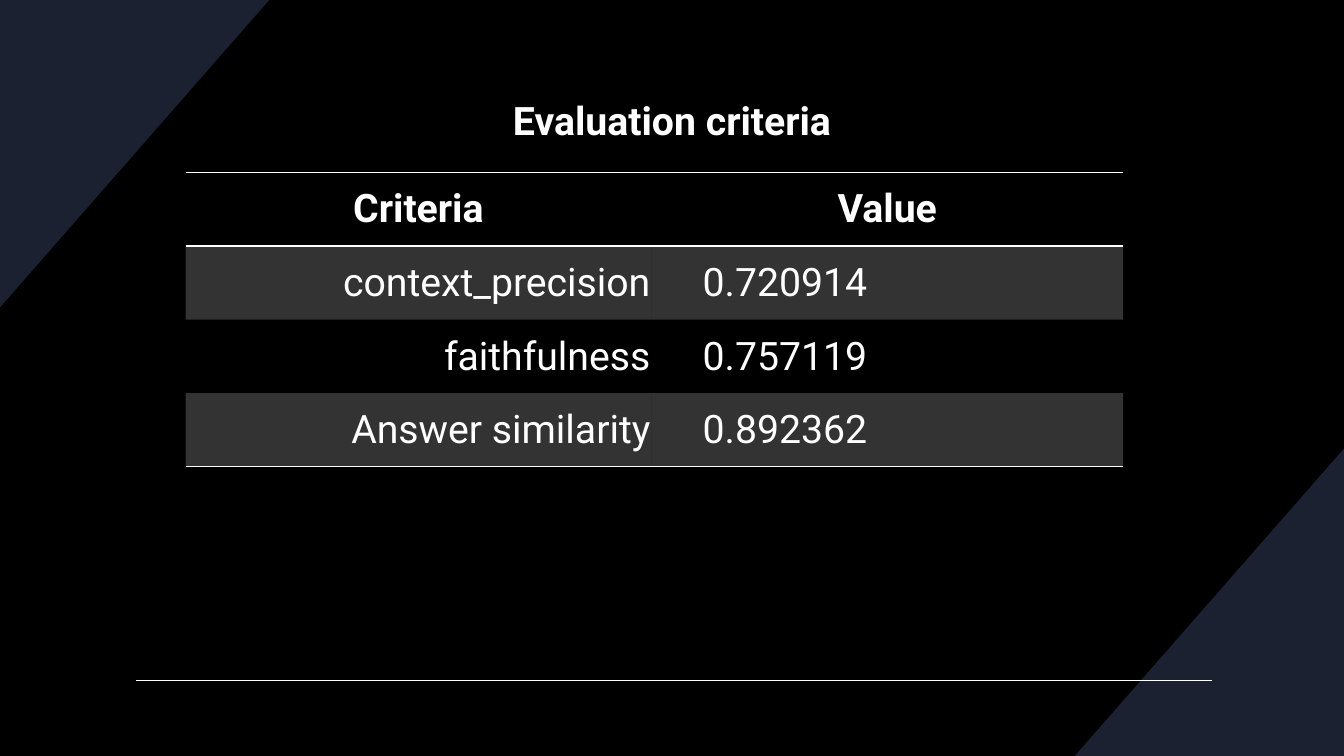
from lxml import etree
from pptx import Presentation
from pptx.dml.color import RGBColor
from pptx.enum.shapes import MSO_CONNECTOR
from pptx.enum.text import MSO_ANCHOR, PP_ALIGN
from pptx.oxml.ns import qn
from pptx.util import Inches, Pt

BLACK = RGBColor(0x00, 0x00, 0x00)
WHITE = RGBColor(0xFF, 0xFF, 0xFF)
NAVY = RGBColor(0x1B, 0x21, 0x30)
STRAIGHT = MSO_CONNECTOR.STRAIGHT
MIDDLE = MSO_ANCHOR.MIDDLE
LEFT, CENTER, RIGHT = PP_ALIGN.LEFT, PP_ALIGN.CENTER, PP_ALIGN.RIGHT

FONT = "Roboto"
TEXT_SIZE = Pt(28)
BAND_ALPHA = "20000"
NO_TABLE_STYLE = "{2D5ABB26-0587-4C30-8999-92F81FD0307C}"
WIDTH, HEIGHT = 13.33, 7.5
CORNER_WIDTH, CORNER_HEIGHT = 2.67, 3.05
COLUMN_WIDTHS = (4.62, 4.68)
ROW_HEIGHT = 0.73
ROWS = (
    ("Criteria", "Value"),
    ("context_precision", "0.720914"),
    ("faithfulness", "0.757119"),
    ("Answer similarity", "0.892362"),
)


def add_corner(page, x, y, direction):
    builder = page.shapes.build_freeform(Inches(x), Inches(y))
    builder.add_line_segments([
        (Inches(x + direction * CORNER_WIDTH), Inches(y)),
        (Inches(x), Inches(y + direction * CORNER_HEIGHT)),
    ])
    corner = builder.convert_to_shape()
    corner.shadow.inherit = False
    corner.fill.solid()
    corner.fill.fore_color.rgb = NAVY
    corner.line.fill.background()


def add_rule(page, left, right, y):
    rule = page.shapes.add_connector(
        STRAIGHT, Inches(left), Inches(y), Inches(right), Inches(y))
    rule.line.color.rgb = WHITE
    rule.line.width = Pt(1)
    etree.SubElement(rule._element.spPr, qn("a:effectLst"))


def write_text(frame, text, alignment, bold):
    para = frame.paragraphs[0]
    para.alignment = alignment
    span = para.add_run()
    span.text = text
    span.font.name = FONT
    span.font.size = TEXT_SIZE
    span.font.bold = bold
    span.font.color.rgb = WHITE
    return para


def add_title(page, text):
    box = page.shapes.add_textbox(
        Inches(1.25), Inches(0.44), Inches(10.83), Inches(1.49))
    frame = box.text_frame
    frame.word_wrap = True
    frame.vertical_anchor = MIDDLE
    write_text(frame, text, CENTER, True)


def add_border(cell, side):
    properties = cell._tc.get_or_add_tcPr()
    border = etree.SubElement(properties, qn(f"a:{side}"), w=str(Pt(1)))
    fill = etree.SubElement(border, qn("a:solidFill"))
    etree.SubElement(fill, qn("a:srgbClr"), val=str(WHITE))


def fill_cell(cell, banded):
    if not banded:
        cell.fill.background()
        return
    cell.fill.solid()
    cell.fill.fore_color.rgb = WHITE
    color = cell._tc.tcPr.find(f"{qn('a:solidFill')}/{qn('a:srgbClr')}")
    etree.SubElement(color, qn("a:alpha"), val=BAND_ALPHA)


def write_cell(cell, text, row, column):
    header = row == 0
    cell.vertical_anchor = MIDDLE
    cell.margin_left = cell.margin_right = cell.margin_top = Inches(0.01)
    cell.margin_bottom = 0
    alignment = CENTER if header else (RIGHT, LEFT)[column]
    para = write_text(cell.text_frame, text, alignment, header)
    if not header and column == 1:
        para.level = 1
        indents = para._p.get_or_add_pPr()
        indents.set("marL", str(Inches(0.5)))
        indents.set("indent", "0")
    if header:
        add_border(cell, "lnT")
    if header or row == len(ROWS) - 1:
        add_border(cell, "lnB")
    fill_cell(cell, row % 2 == 1)


def add_criteria_table(page):
    frame = page.shapes.add_table(
        len(ROWS), len(COLUMN_WIDTHS), Inches(1.84), Inches(1.71),
        Inches(sum(COLUMN_WIDTHS)), Inches(ROW_HEIGHT * len(ROWS)))
    table = frame.table
    table.horz_banding = False
    table._tbl.tblPr.find(qn("a:tableStyleId")).text = NO_TABLE_STYLE
    for column, width in zip(table.columns, COLUMN_WIDTHS):
        column.width = Inches(width)
    for row, texts in enumerate(ROWS):
        table.rows[row].height = Inches(ROW_HEIGHT)
        for column, text in enumerate(texts):
            write_cell(table.cell(row, column), text, row, column)


def main():
    deck = Presentation()
    deck.slide_width, deck.slide_height = Inches(WIDTH), Inches(HEIGHT)
    page = deck.slides.add_slide(deck.slide_layouts[6])
    page.background.fill.solid()
    page.background.fill.fore_color.rgb = BLACK
    add_corner(page, WIDTH, HEIGHT, -1)
    add_corner(page, 0, 0, 1)
    add_rule(page, 1.35, 12.02, 6.75)
    add_criteria_table(page)
    add_title(page, "Evaluation criteria")
    deck.save("out.pptx")


if __name__ == "__main__":
    main()
